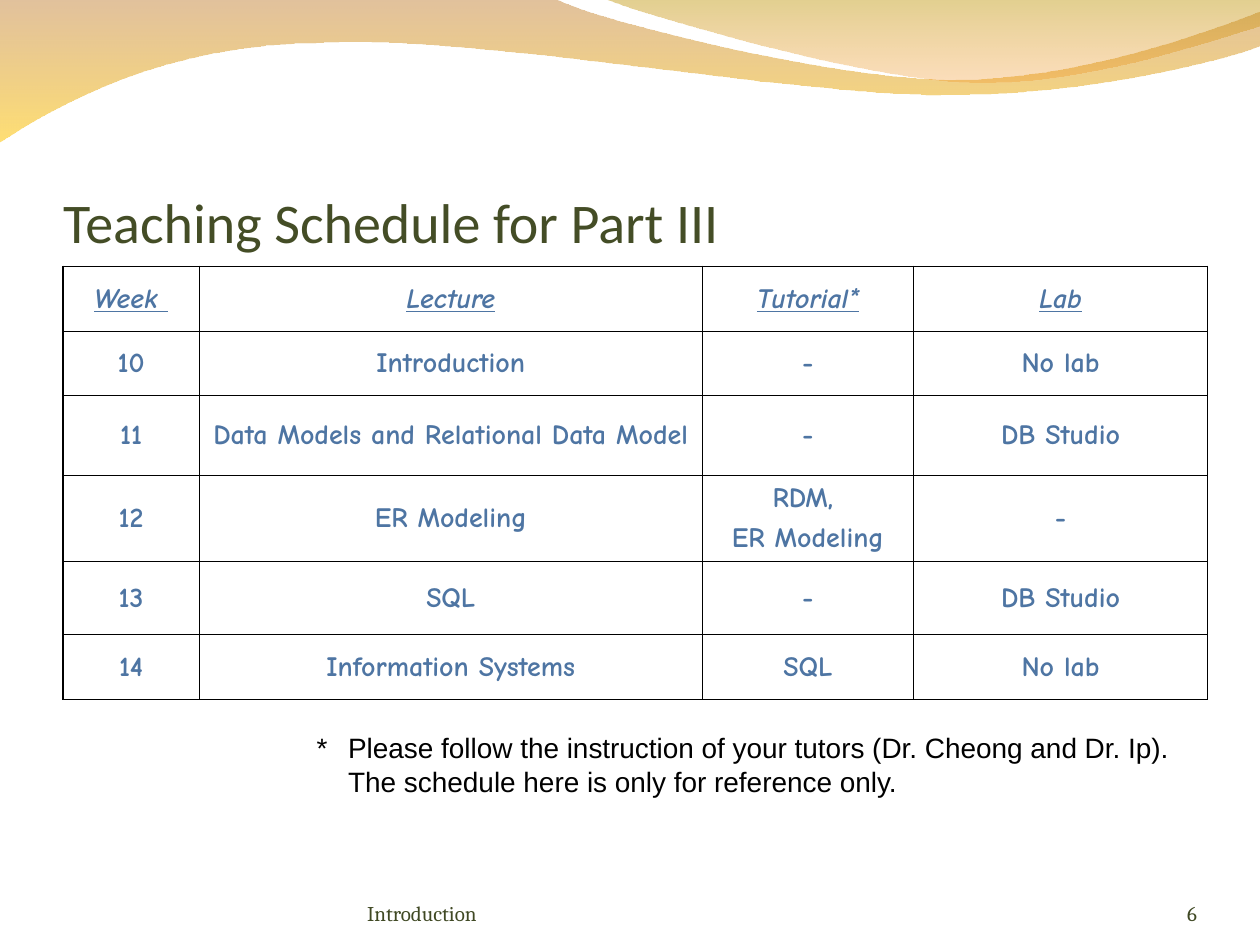
from lxml import etree
from pptx import Presentation, util as u
from pptx.dml.color import RGBColor
from pptx.enum import text
from pptx.oxml.ns import qn

WIDTH, HEIGHT = u.Inches(10), u.Inches(7.5)
COLOURS = {
    "title": "444D26", "footer": "404924", "cell": "4E75A3", "ink": "000000",
    "brown": "BF7825", "yellow": "FFC400", "olive": "BF9506", "orange": "F4921F",
}
COLUMNS = [10.8, 39.95, 16.75, 23.35]
ROWS = [6.87, 6.8, 8.4, 9.13, 7.73, 6.87]
SCHEDULE = [
    ["Week ", "Lecture", "Tutorial*", "Lab"],
    ["10", "Introduction", "-", "No lab"],
    ["11", "Data Models and Relational Data Model", "-", "DB Studio"],
    ["12", "ER Modeling", "RDM, \nER Modeling", "-"],
    ["13", "SQL", "-", "DB Studio"],
    ["14", "Information Systems", "SQL", "No lab"],
]
NOTE = ("* \tPlease follow the instruction of your tutors (Dr. Cheong and Dr. Ip). "
        "The schedule here is only for reference only.")
WIDE_WAVE = [
    [(0, -0.13)],
    [(44, -0.13)],
    [(47.6, 2.27), (66.4, 8.4), (75.8, 8.4)],
    [(85.3, 8.4), (95.8, 3.47), (100, 1.2)],
    [(100.1, 4.8)],
    [(98.3, 5.87), (87, 10.13), (74.6, 10)],
    [(62.2, 10), (38.2, 3.73), (25.7, 4.53)],
    [(12.9, 4.67), (4.6, 11.07), (-0.1, 15.07)],
]
RIGHT_WAVE = [
    [(47.9, -0.13)],
    [(50.9, 1.47), (68.2, 8.27), (76.9, 8.67)],
    [(85.6, 9.2), (96.1, 4.27), (100, 2.8)],
    [(100, 0)],
]


def across(percent):
    """Turn a share of the slide's width into a length."""
    return u.Emu(round(WIDTH * percent / 100))


def down(percent):
    """Turn a share of the slide's height into a length."""
    return u.Emu(round(HEIGHT * percent / 100))


def paint(font, size, name, colour):
    """Set the size, family and colour of a font."""
    font.size, font.name = u.Pt(size), name
    font.color.rgb = RGBColor.from_string(COLOURS[colour])


def bend(wave, segments):
    """Turn the sides that have control points into cubic curves."""
    sides = list(wave._element.iter(qn("a:lnTo")))
    for side, segment in zip(sides, segments):
        if len(segment) == 1:
            continue
        curve = etree.Element(qn("a:cubicBezTo"))
        for x, y in segment:
            point = etree.SubElement(curve, qn("a:pt"))
            point.set("x", str(across(x) - wave.left))
            point.set("y", str(down(y) - wave.top))
        side.getparent().replace(side, curve)


def add_wave(page, segments, stops):
    """Draw a closed wave filled with a translucent vertical gradient."""
    corners = [(across(x), down(y)) for x, y in (segment[-1] for segment in segments)]
    builder = page.shapes.build_freeform(*corners[0])
    builder.add_line_segments(corners[1:], close=True)
    wave = builder.convert_to_shape()
    bend(wave, segments[1:])
    wave.shadow.inherit = False
    wave.line.fill.background()
    wave.fill.gradient()
    wave.fill.gradient_angle = 270
    for stop, (colour, _) in zip(wave.fill.gradient_stops, stops):
        stop.color.rgb = RGBColor.from_string(COLOURS[colour])
    for node, (_, opacity) in zip(wave._element.spPr.iter(qn("a:srgbClr")), stops):
        etree.SubElement(node, qn("a:alpha")).set("val", str(opacity * 1000))


def add_title(page, wording):
    """Fill the title placeholder and bring it in front of the waves."""
    title = page.shapes.title
    title.left, title.top = across(5), down(10.27)
    title.width, title.height = across(90), down(16.67)
    page.shapes._spTree.append(title._element)
    frame = title.text_frame
    frame.text = wording
    frame.vertical_anchor = text.MSO_ANCHOR.BOTTOM
    frame.margin_left = frame.margin_right = frame.margin_bottom = 0
    frame.paragraphs[0].alignment = text.PP_ALIGN.LEFT
    paint(frame.paragraphs[0].runs[0].font, 32, "Calibri", "title")


def add_label(page, wording, left, top, width, height):
    """Add a wrapped text box and return its frame."""
    box = page.shapes.add_textbox(across(left), down(top), across(width), down(height))
    box.text_frame.word_wrap = True
    box.text_frame.text = wording
    return box.text_frame


def add_footer(page, wording, left, width, alignment):
    """Add one item of the footer line."""
    frame = add_label(page, wording, left, 92.67, width, 5.33)
    frame.margin_left = frame.margin_right = frame.margin_top = frame.margin_bottom = 0
    frame.vertical_anchor = text.MSO_ANCHOR.BOTTOM
    frame.paragraphs[0].alignment = alignment
    paint(frame.paragraphs[0].runs[0].font, 12, "Cambria", "footer")


def add_note(page, wording):
    """Add the footnote with a hanging indent."""
    frame = add_label(page, wording, 24.15, 76.67, 71.7, 8.53)
    frame.auto_size = text.MSO_AUTO_SIZE.SHAPE_TO_FIT_TEXT
    properties = frame.paragraphs[0]._p.get_or_add_pPr()
    properties.set("marL", str(across(2.5)))
    properties.set("indent", str(-across(2.5)))
    paint(frame.paragraphs[0].runs[0].font, 16, "Arial", "ink")


def add_border(cell, side, points):
    """Rule one side of a cell."""
    line = etree.SubElement(cell._tc.get_or_add_tcPr(), qn(f"a:ln{side}"))
    line.set("w", str(u.Pt(points)))
    fill = etree.SubElement(line, qn("a:solidFill"))
    etree.SubElement(fill, qn("a:srgbClr")).set("val", COLOURS["ink"])


def format_cell(cell, wording, heading, outer_sides):
    """Write one schedule cell with its rules and lettering."""
    for side in "LRTB":
        add_border(cell, side, 1.08 if side in outer_sides else 0.45)
    cell.fill.background()
    cell.vertical_anchor = text.MSO_ANCHOR.MIDDLE
    cell.text_frame.text = wording
    for index, para in enumerate(cell.text_frame.paragraphs):
        para.alignment = text.PP_ALIGN.CENTER
        para.space_before = u.Pt(4 if index else 0)
        for span in para.runs:
            paint(span.font, 16, "Comic Neue", "cell")
            span.font.bold = True
            span.font.italic = span.font.underline = heading


def add_schedule(page):
    """Add the teaching schedule table."""
    table = page.shapes.add_table(len(ROWS), len(COLUMNS), across(5), down(28.2),
                                  across(sum(COLUMNS)), down(sum(ROWS))).table
    table.first_row = table.horz_banding = False
    for column, share in zip(table.columns, COLUMNS):
        column.width = across(share)
    for r, share in enumerate(ROWS):
        table.rows[r].height = down(share)
        for c, wording in enumerate(SCHEDULE[r]):
            edges = {"L": c == 0, "R": c == len(COLUMNS) - 1, "T": r == 0}
            outer_sides = [side for side, outer in edges.items() if outer]
            format_cell(table.cell(r, c), wording, r == 0, outer_sides)


def main():
    """Build the teaching schedule slide."""
    deck = Presentation()
    deck.slide_width, deck.slide_height = WIDTH, HEIGHT
    page = deck.slides.add_slide(deck.slide_layouts[5])
    add_wave(page, WIDE_WAVE, [("brown", 45), ("yellow", 55)])
    add_wave(page, RIGHT_WAVE, [("olive", 45), ("orange", 30)])
    add_title(page, "Teaching Schedule for Part III")
    add_footer(page, "Introduction", 29.15, 36.7, text.PP_ALIGN.LEFT)
    add_footer(page, "6", 86.7, 8.3, text.PP_ALIGN.RIGHT)
    add_schedule(page)
    add_note(page, NOTE)
    deck.save("out.pptx")


if __name__ == "__main__":
    main()
